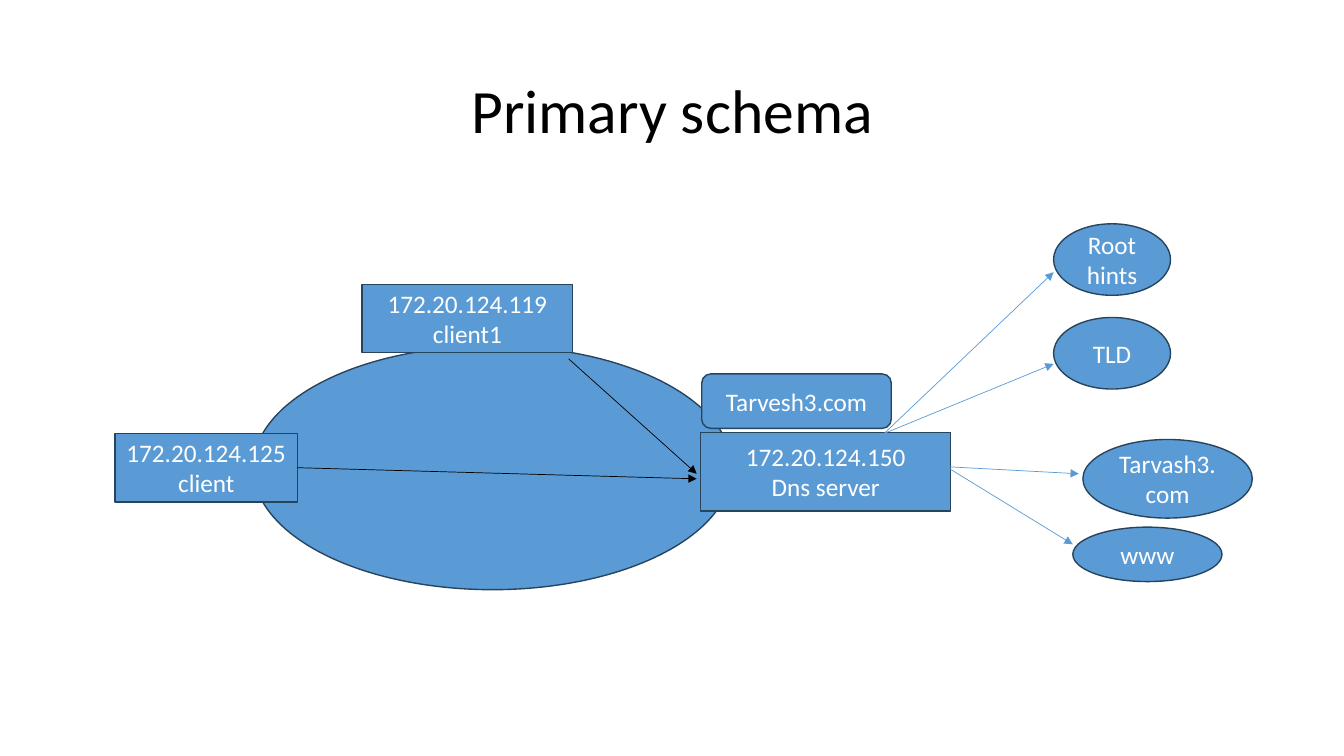
from dataclasses import dataclass

from pptx import Presentation
from pptx.dml.color import RGBColor
from pptx.enum.shapes import MSO_CONNECTOR, MSO_SHAPE
from pptx.enum.text import MSO_ANCHOR, PP_ALIGN
from pptx.oxml.ns import qn
from pptx.util import Inches, Pt
from lxml.etree import SubElement


@dataclass(frozen=True)
class Theme:
    font: str = "Calibri"
    title_size: Pt = Pt(44)
    label_size: Pt = Pt(18)
    outline_width: Pt = Pt(1)
    arrow_width: Pt = Pt(0.5)
    black: RGBColor = RGBColor(0x00, 0x00, 0x00)
    white: RGBColor = RGBColor(0xFF, 0xFF, 0xFF)
    blue: RGBColor = RGBColor(0x5B, 0x9B, 0xD5)
    outline: RGBColor = RGBColor(0x28, 0x44, 0x5D)


THEME = Theme()
RIGHT_SIDE = 3


def write_text(text_frame, text, size, color):
    """Fill a frame with centred text, one paragraph per line."""
    text_frame.text = text
    text_frame.word_wrap = True
    text_frame.vertical_anchor = MSO_ANCHOR.MIDDLE
    for paragraph in text_frame.paragraphs:
        paragraph.alignment = PP_ALIGN.CENTER
        paragraph.font.name = THEME.font
        paragraph.font.size = size
        paragraph.font.color.rgb = color


def set_title(slide, text):
    title = slide.shapes.title
    title.left, title.top = Inches(0.92), Inches(0.4)
    title.width, title.height = Inches(11.5), Inches(1.45)
    write_text(title.text_frame, text, THEME.title_size, THEME.black)
    title.text_frame.paragraphs[0].line_spacing = 0.9


def add_node(slide, kind, left, top, width, height, text=""):
    node = slide.shapes.add_shape(
        kind, Inches(left), Inches(top), Inches(width), Inches(height))
    node.shadow.inherit = False
    node.fill.solid()
    node.fill.fore_color.rgb = THEME.blue
    node.line.color.rgb = THEME.outline
    node.line.width = THEME.outline_width
    if text:
        write_text(node.text_frame, text, THEME.label_size, THEME.white)
    return node


def add_arrow(slide, start, end, color):
    arrow = slide.shapes.add_connector(
        MSO_CONNECTOR.STRAIGHT, *(Inches(value) for value in start + end))
    arrow.line.color.rgb = color
    arrow.line.width = THEME.arrow_width
    SubElement(arrow.line._get_or_add_ln(), qn("a:tailEnd"), type="triangle")
    SubElement(arrow._element.spPr, qn("a:effectLst"))
    return arrow


def main():
    presentation = Presentation()
    presentation.slide_width = Inches(13.33)
    presentation.slide_height = Inches(7.5)
    slide = presentation.slides.add_slide(presentation.slide_layouts[5])
    set_title(slide, "Primary schema")

    # Local network and its hosts
    add_node(slide, MSO_SHAPE.OVAL, 2.51, 3.43, 4.75, 2.42)
    add_node(slide, MSO_SHAPE.RECTANGLE, 3.59, 2.82, 2.09, 0.68,
             "172.20.124.119\nclient1")
    client = add_node(slide, MSO_SHAPE.RECTANGLE, 1.14, 4.3, 1.81, 0.68,
                      "172.20.124.125\nclient")
    add_node(slide, MSO_SHAPE.RECTANGLE, 6.95, 4.29, 2.48, 0.78,
             "172.20.124.150\nDns server")

    # Name servers outside the network
    for left, top, width, height, text in (
        (10.45, 2.22, 1.16, 0.71, "Root hints"),
        (10.45, 3.15, 1.16, 0.71, "TLD"),
        (10.74, 4.36, 1.68, 0.78, "Tarvash3.com"),
        (10.64, 5.23, 1.48, 0.54, "www"),
    ):
        add_node(slide, MSO_SHAPE.OVAL, left, top, width, height, text)

    # Queries from the server
    for start, end in (
        ((8.77, 4.3), (10.45, 2.7)),
        ((8.77, 4.3), (10.45, 3.61)),
        ((9.39, 4.63), (10.7, 4.7)),
        ((9.32, 4.59), (10.64, 5.4)),
    ):
        add_arrow(slide, start, end, THEME.blue)

    # Queries from the clients
    add_arrow(slide, (5.64, 3.56), (6.91, 4.7), THEME.black)
    client_query = add_arrow(slide, (2.95, 4.64), (6.91, 4.75), THEME.black)
    client_query.begin_connect(client, RIGHT_SIDE)

    add_node(slide, MSO_SHAPE.ROUNDED_RECTANGLE, 6.96, 3.71, 1.88, 0.54,
             "Tarvesh3.com")
    presentation.save("out.pptx")


if __name__ == "__main__":
    main()
